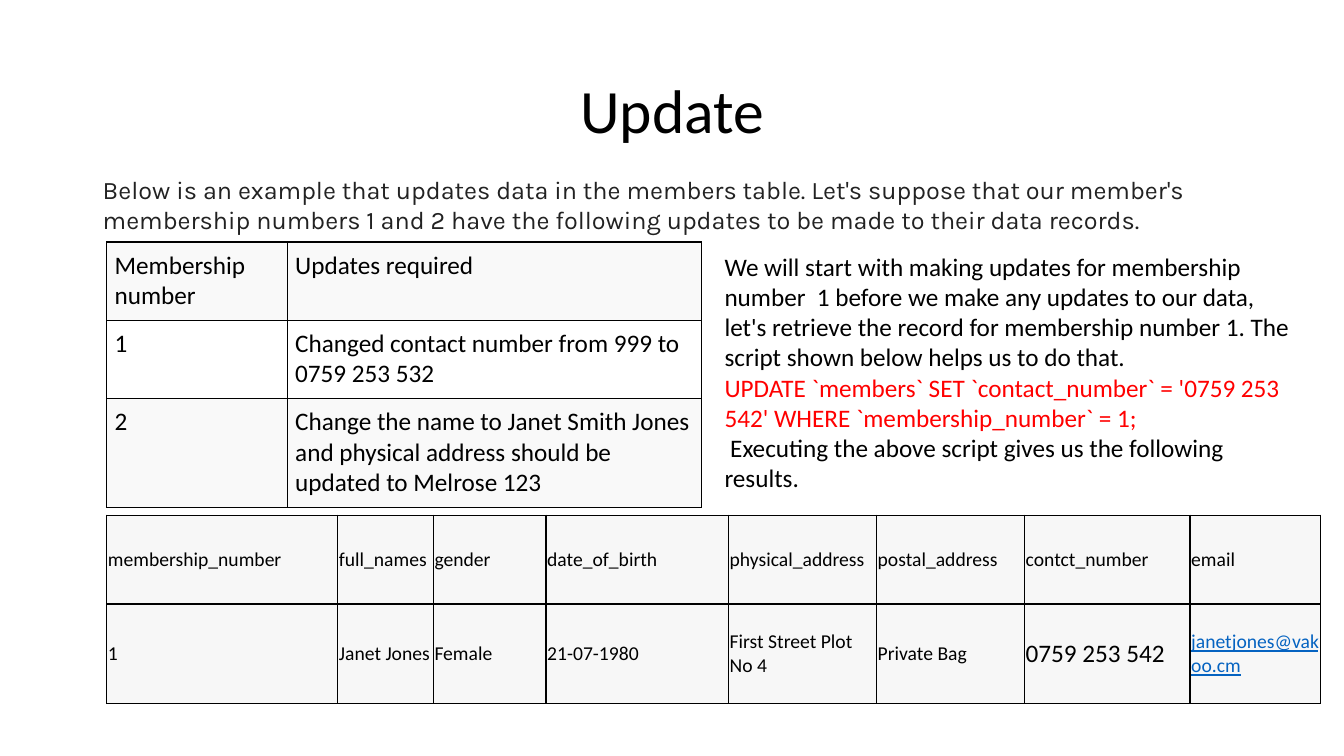
from lxml.etree import SubElement
from pptx import Presentation
from pptx.dml.color import RGBColor
from pptx.enum.text import MSO_ANCHOR, PP_ALIGN
from pptx.oxml.ns import qn
from pptx.util import Cm, Pt

BLACK = RGBColor(0, 0, 0)
INK = RGBColor(0x22, 0x22, 0x22)
RED = RGBColor(0xFF, 0, 0)
BLUE = RGBColor(0x05, 0x63, 0xC1)
WHITE = RGBColor(0xFF, 0xFF, 0xFF)
PALE = RGBColor(0xF9, 0xF9, 0xF9)
GREY = RGBColor(0xF7, 0xF7, 0xF7)

INTRO = ("Below is an example that updates data in the members table. "
         "Let's suppose that our member's membership numbers 1 and 2 have "
         "the following updates to be made to their data records.")
STEPS = [
    ("We will start with making updates for membership number  1 before we "
     "make any updates to our data, let's retrieve the record for membership "
     "number 1. The script shown below helps us to do that.", BLACK),
    ("UPDATE `members` SET `contact_number` = '0759 253 542' "
     "WHERE `membership_number` = 1;", RED),
    (" Executing the above script gives us the following results.", BLACK),
]
TASKS = [
    ["Membership number", "Updates required"],
    ["1", "Changed contact number from 999 to 0759 253 532"],
    ["2", "Change the name to Janet Smith Jones and physical address "
          "should be updated to Melrose 123"],
]
PHONE = "0759 253 542"
EMAIL = "janetjones@vakoo.cm"
RECORD = [
    ["membership_number", "full_names", "gender", "date_of_birth",
     "physical_address", "postal_address", "contct_number", "email"],
    ["1", "Janet Jones", "Female", "21-07-1980",
     "First Street Plot No 4", "Private Bag", PHONE, EMAIL],
]


def add_run(para, text, size=18, color=BLACK, face="Calibri"):
    run = para.add_run()
    run.text = text
    run.font.size = Pt(size)
    run.font.name = face
    run.font.color.rgb = color
    return run


def add_title(slide, box, text):
    title = slide.shapes.title
    title.left, title.top, title.width, title.height = map(Cm, box)
    frame = title.text_frame
    frame.vertical_anchor = MSO_ANCHOR.MIDDLE
    para = frame.paragraphs[0]
    para.alignment = PP_ALIGN.CENTER
    para.line_spacing = 0.9
    add_run(para, text, 44)


def add_text(slide, box, parts, face="Calibri"):
    frame = slide.shapes.add_textbox(*map(Cm, box)).text_frame
    frame.word_wrap = True
    for index, (text, color) in enumerate(parts):
        para = frame.add_paragraph() if index else frame.paragraphs[0]
        add_run(para, text, color=color, face=face)


def add_edges(cell):
    props = cell._tc.get_or_add_tcPr()
    for side in ("lnL", "lnR", "lnT", "lnB"):
        line = SubElement(props, qn("a:" + side), w=str(Pt(1)))
        fill = SubElement(line, qn("a:solidFill"))
        SubElement(fill, qn("a:srgbClr"), val=str(BLACK))


def add_grid(slide, spot, cols, rows, data, fills, inset, size, anchor):
    box = (*spot, sum(cols), sum(rows))
    table = slide.shapes.add_table(len(rows), len(cols), *map(Cm, box)).table
    table.first_row = table.horz_banding = False
    for col, width in zip(table.columns, cols):
        col.width = Cm(width)
    for row, height, texts, fill in zip(table.rows, rows, data, fills):
        row.height = Cm(height)
        for cell, text in zip(row.cells, texts):
            add_edges(cell)
            cell.fill.solid()
            cell.fill.fore_color.rgb = fill
            cell.vertical_anchor = anchor
            cell.margin_left = cell.margin_right = Cm(inset)
            cell.margin_top = cell.margin_bottom = Cm(inset)
            run = add_run(cell.text_frame.paragraphs[0], text,
                          18 if text == PHONE else size,
                          BLUE if text == EMAIL else BLACK)
            if text == EMAIL:
                run.font.underline = True


def add_tasks(slide, spot):
    add_grid(slide, spot, [4.55, 10.44], [1.97, 1.97, 2.74], TASKS,
             [PALE, WHITE, PALE], 0.2, 18, MSO_ANCHOR.TOP)


def add_record(slide, spot):
    cols = [5.82, 2.41, 2.84, 4.6, 3.73, 3.73, 4.17, 3.28]
    add_grid(slide, spot, cols, [2.24, 2.51], RECORD,
             [GREY, GREY], 0.03, 14, MSO_ANCHOR.MIDDLE)


def build():
    deck = Presentation()
    deck.slide_width, deck.slide_height = Cm(33.87), Cm(19.05)
    slide = deck.slides.add_slide(deck.slide_layouts[5])
    add_title(slide, (2.34, 1.02, 29.21, 3.68), "Update")
    add_tasks(slide, (2.69, 6.1))
    add_text(slide, (2.34, 4.27, 30.15, 1.8), [(INTRO, INK)], "Karla")
    add_text(slide, (18.01, 6.2, 14.99, 6.4), STEPS)
    add_record(slide, (2.69, 12.98))
    deck.save("out.pptx")


build()
